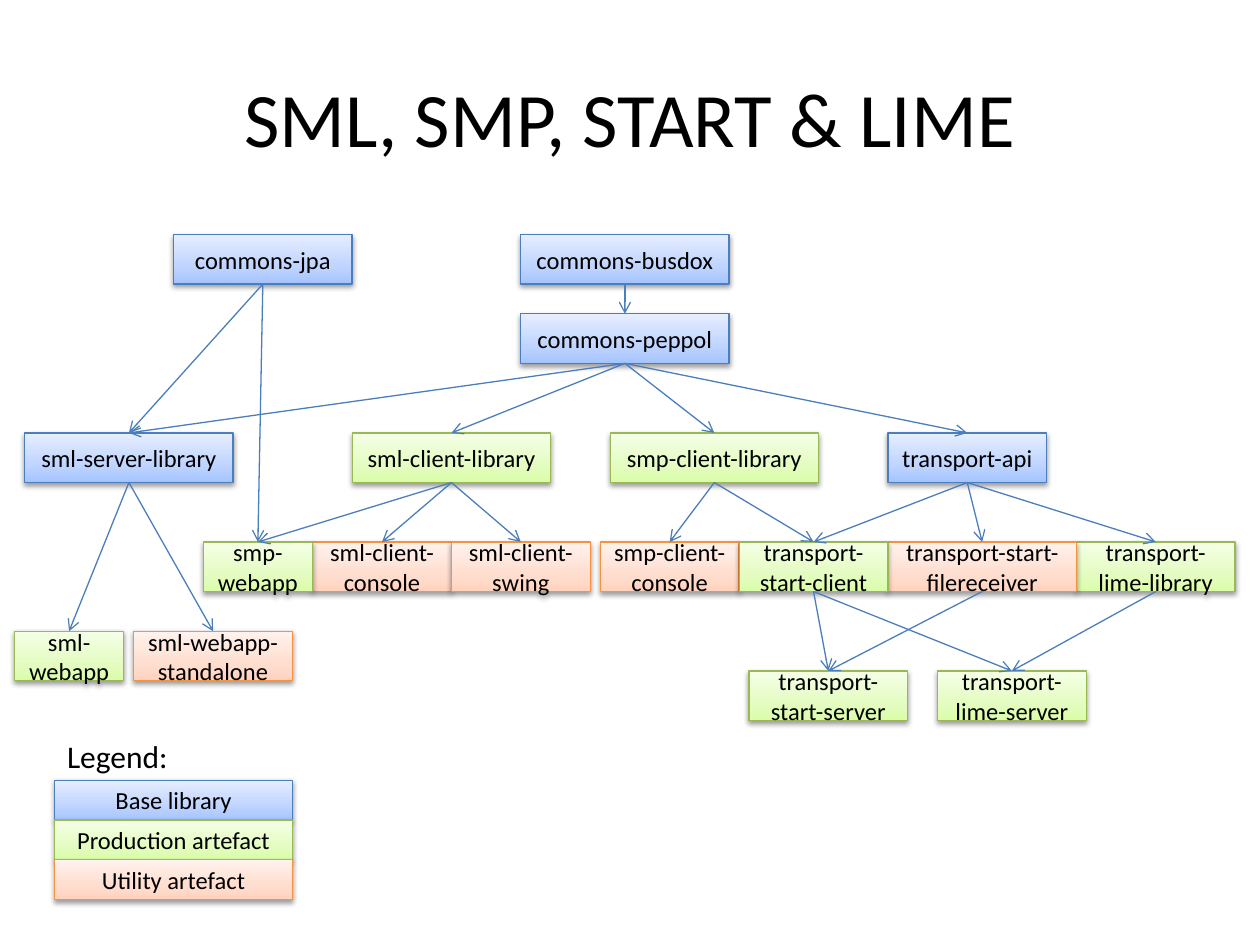
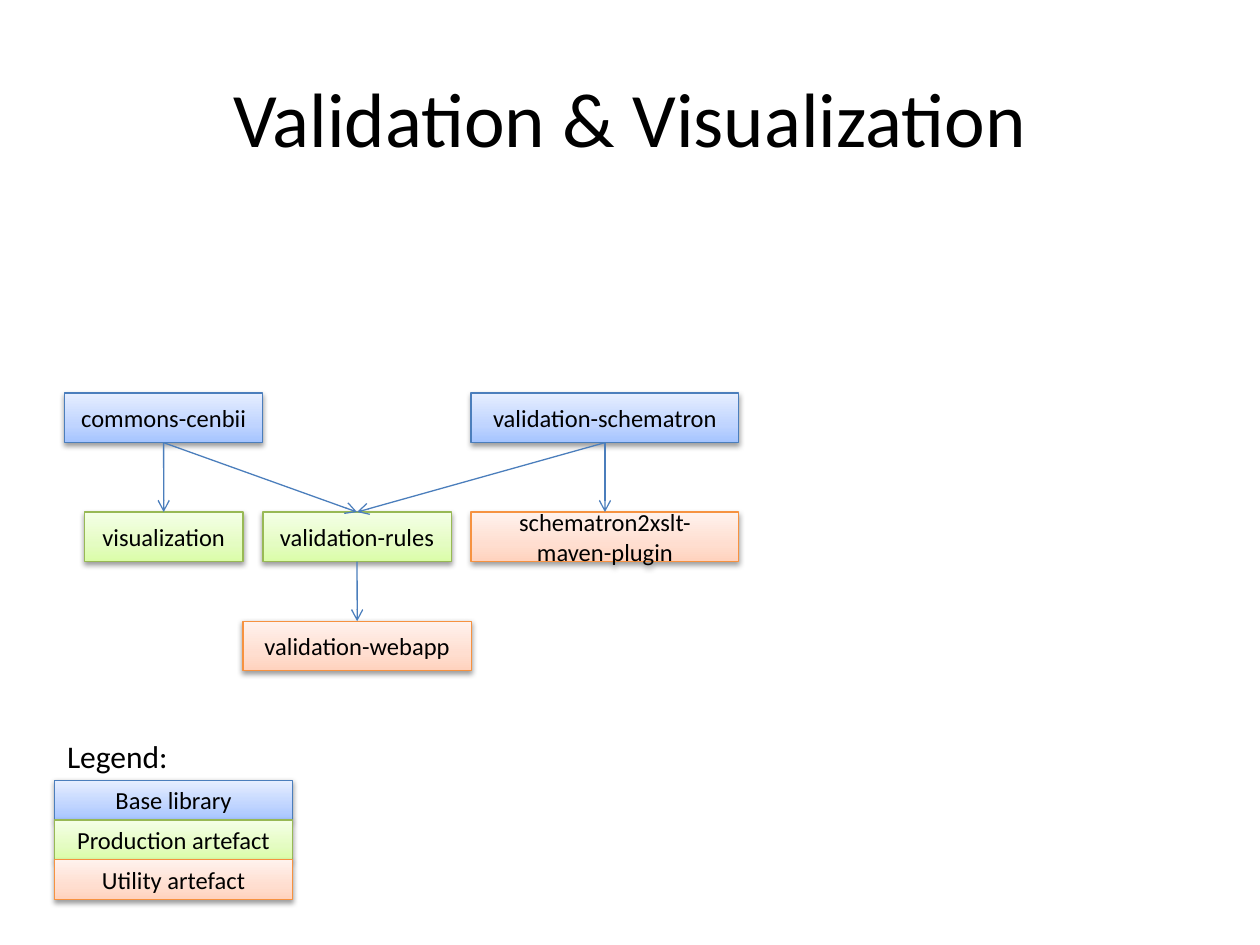
from copy import deepcopy
from lxml import etree
from pptx import Presentation
from pptx.dml.color import RGBColor
from pptx.enum.shapes import MSO_CONNECTOR, MSO_SHAPE
from pptx.enum.text import MSO_ANCHOR, PP_ALIGN
from pptx.oxml.ns import qn
from pptx.util import Pt

RECT = MSO_SHAPE.RECTANGLE
STRAIGHT = MSO_CONNECTOR.STRAIGHT
CENTER, LEFT = PP_ALIGN.CENTER, PP_ALIGN.LEFT
MIDDLE = MSO_ANCHOR.MIDDLE
BOTTOM_SITE, TOP_SITE = 2, 0

FONT = "Calibri"
COLORS = {
    "text": "000000",
    "arrow": "4B7EBC",
    "base": ["A4C4FF", "BFD4FF", "E6EEFF"],
    "base line": "4B7EBC",
    "production": ["DAFDA7", "E4FCC2", "F5FFE7"],
    "production line": "98B955",
    "utility": ["FFD2BD", "FFDED0", "FFF2ED"],
    "utility line": "F69240",
}
STOPS = [0, 0.35, 1]
BOX_H = 28.35
LEGEND = [("Base library", "base"), ("Production artefact", "production"), ("Utility artefact", "utility")]
LEGEND_X, LEGEND_Y, LEGEND_W, LEGEND_H = 31.2, 445.9, 136, 22.7

SLIDES = [
    {
        "title": "SML, SMP, START & LIME",
        "rows": [
            (134, [("commons-busdox", 297.6, 119, "base"),
                   ("commons-jpa", 99.2, 102, "base")]),
            (179.3, [("commons-peppol", 297.6, 119, "base")]),
            (247.4, [("sml-client-library", 201.3, 113.4, "production"),
                     ("smp-client-library", 348.7, 119, "production"),
                     ("transport-api", 507.4, 90.7, "base"),
                     ("sml-server-library", 14.2, 119, "base")]),
            (309.7, [("sml-client-console", 178.6, 79.4, "utility"),
                     ("smp-client-console", 343, 79.4, "utility"),
                     ("transport-lime-library", 615.1, 90.7, "production"),
                     ("transport-start-filereceiver", 507.4, 107.7, "utility"),
                     ("smp-webapp", 116.2, 62.4, "production"),
                     ("transport-start-client", 422.4, 85, "production"),
                     ("sml-client-swing", 257.9, 79.4, "utility")]),
            (360.7, [("sml-webapp", 8.3, 62.4, "production"),
                     ("sml-webapp-standalone", 76.4, 90.7, "utility")]),
            (383.4, [("transport-lime-server", 535.7, 85, "production"),
                     ("transport-start-server", 428, 90.7, "production")]),
        ],
        "arrows": {
            "commons-busdox": ["commons-peppol"],
            "commons-peppol": ["sml-client-library", "smp-client-library",
                               "transport-api", "sml-server-library"],
            "commons-jpa": ["sml-server-library", "smp-webapp"],
            "sml-client-library": ["sml-client-console", "smp-webapp", "sml-client-swing"],
            "smp-client-library": ["smp-client-console", "transport-start-client"],
            "transport-api": ["transport-lime-library", "transport-start-filereceiver",
                              "transport-start-client"],
            "sml-server-library": ["sml-webapp", "sml-webapp-standalone"],
            "transport-start-client": ["transport-lime-server", "transport-start-server"],
            "transport-lime-library": ["transport-lime-server"],
            "transport-start-filereceiver": ["transport-start-server"],
        },
    },
    {
        "title": "Validation & Visualization",
        "rows": [
            (224.6, [("commons-cenbii", 36.8, 113.4, "base"),
                     ("validation-schematron", 269.2, 153, "base")]),
            (292.6, [("schematron2xslt-maven-plugin", 269.2, 153, "utility"),
                     ("visualization", 48.2, 90.7, "production"),
                     ("validation-rules", 150.2, 107.7, "production")]),
            (355, [("validation-webapp", 138.9, 130.4, "utility")]),
        ],
        "arrows": {
            "commons-cenbii": ["visualization", "validation-rules"],
            "validation-schematron": ["schematron2xslt-maven-plugin", "validation-rules"],
            "validation-rules": ["validation-webapp"],
        },
    },
]


def write(tf, text, size, align):
    p = tf.paragraphs[0]
    p.alignment = align
    r = p.add_run()
    r.text = text
    r.font.name = FONT
    r.font.size = Pt(size)
    r.font.color.rgb = RGBColor.from_string(COLORS["text"])


def add_box(s, text, x, y, w, h, kind):
    sp = s.shapes.add_shape(RECT, Pt(x), Pt(y), Pt(w), Pt(h))
    sp.fill.gradient()
    sp.fill.gradient_angle = 90
    gs_list = sp._element.spPr.find(qn("a:gradFill")).find(qn("a:gsLst"))
    gs_list.insert(1, deepcopy(gs_list[0]))
    for stop, position, color in zip(sp.fill.gradient_stops, STOPS, COLORS[kind]):
        stop.position = position
        stop.color.rgb = RGBColor.from_string(color)
    sp.line.color.rgb = RGBColor.from_string(COLORS[kind + " line"])
    sp.line.width = Pt(0.75)
    sp.shadow.inherit = False
    effects = sp._element.spPr.find(qn("a:effectLst"))
    shadow = etree.SubElement(effects, qn("a:outerShdw"), blurRad=str(Pt(3.1)),
                              dist=str(Pt(1.6)), dir="5400000", rotWithShape="0")
    color = etree.SubElement(shadow, qn("a:srgbClr"), val="000000")
    etree.SubElement(color, qn("a:alpha"), val="38000")
    tf = sp.text_frame
    tf.word_wrap = True
    tf.vertical_anchor = MIDDLE
    write(tf, text, 14, CENTER)
    return sp


prs = Presentation()
prs.slide_width, prs.slide_height = Pt(720), Pt(540)

for content in SLIDES:
    s = prs.slides.add_slide(prs.slide_layouts[5])
    title = s.shapes.title
    title.left, title.top, title.width, title.height = Pt(36), Pt(21.6), Pt(648), Pt(90)
    title.text_frame.vertical_anchor = MIDDLE
    write(title.text_frame, content["title"], 44, CENTER)

    boxes = {}
    for y, row in content["rows"]:
        for text, x, w, kind in row:
            boxes[text] = add_box(s, text, x, y, w, BOX_H, kind)

    for source, targets in content["arrows"].items():
        for target in targets:
            line = s.shapes.add_connector(STRAIGHT, 0, 0, 0, 0)
            line.begin_connect(boxes[source], BOTTOM_SITE)
            line.end_connect(boxes[target], TOP_SITE)
            line.line.color.rgb = RGBColor.from_string(COLORS["arrow"])
            line.line.width = Pt(0.75)
            etree.SubElement(line.line._get_or_add_ln(), qn("a:tailEnd"), type="arrow")
            etree.SubElement(line._element.spPr, qn("a:effectLst"))

    for i, (text, kind) in enumerate(LEGEND):
        add_box(s, text, LEGEND_X, LEGEND_Y + i * LEGEND_H, LEGEND_W, LEGEND_H, kind)
    tb = s.shapes.add_textbox(Pt(LEGEND_X), Pt(417.6), Pt(72.7), Pt(29))
    tb.text_frame.word_wrap = False
    write(tb.text_frame, "Legend:", 18, LEFT)

prs.save("out.pptx")
